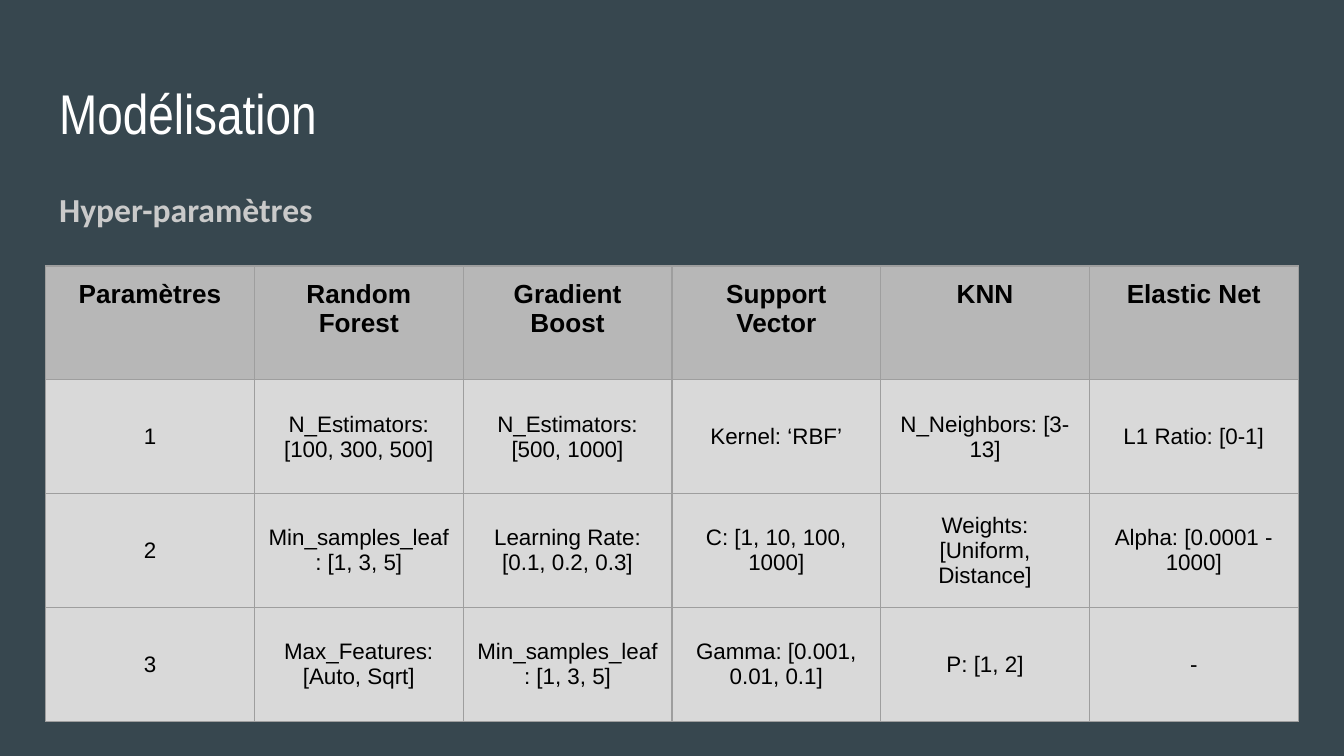
import pptx
import pptx.dml.color
import pptx.enum.text
import pptx.oxml
import pptx.oxml.ns
import pptx.util

Pt = pptx.util.Pt
ALIGN = pptx.enum.text.PP_ALIGN
ANCHOR = pptx.enum.text.MSO_ANCHOR

ROWS = [
    ["Paramètres", "Random Forest", "Gradient Boost", "Support Vector", "KNN", "Elastic Net"],
    ["1", "N_Estimators: [100, 300, 500]", "N_Estimators: [500, 1000]",
     "Kernel: ‘RBF’", "N_Neighbors: [3-13]", "L1 Ratio: [0-1]"],
    ["2", "Min_samples_leaf: [1, 3, 5]", "Learning Rate: [0.1, 0.2, 0.3]",
     "C: [1, 10, 100, 1000]", "Weights: [Uniform, Distance]", "Alpha: [0.0001 - 1000]"],
    ["3", "Max_Features: [Auto, Sqrt]", "Min_samples_leaf: [1, 3, 5]",
     "Gamma: [0.001, 0.01, 0.1]", "P: [1, 2]", "-"],
]


def paint(fill, color):
    """Fill with a solid hex colour."""
    fill.solid()
    fill.fore_color.rgb = pptx.dml.color.RGBColor.from_string(color)


def add_run(p, text, size, font, color, bold=False):
    """Add a formatted run to a paragraph."""
    r = p.add_run()
    r.text = text
    r.font.size = Pt(size)
    r.font.name = font
    r.font.bold = bold
    paint(r.font.fill, color)


def set_margins(box, margin=7.2):
    """Set equal margins on a text frame or a cell."""
    box.margin_left = box.margin_right = Pt(margin)
    box.margin_top = box.margin_bottom = Pt(margin)


def place_text(sp, box, text, size, font, color, bold=False):
    """Move a placeholder to its box, write its text and return the paragraph."""
    sp.left, sp.top, sp.width, sp.height = [Pt(v) for v in box]
    tf = sp.text_frame
    tf.word_wrap = True
    tf.auto_size = pptx.enum.text.MSO_AUTO_SIZE.NONE
    tf.vertical_anchor = ANCHOR.TOP
    set_margins(tf)
    p = tf.paragraphs[0]
    p.alignment = ALIGN.LEFT
    p.space_before = Pt(0)
    add_run(p, text, size, font, color, bold)
    return p


def add_heading(s, x, y, w):
    """Place the title and the subtitle from the top left corner."""
    place_text(s.shapes.title, (x, y, w, 45), "Modélisation", 30, "Arial Narrow", "FFFFFF")
    p = place_text(s.placeholders[1], (x, y + 55.5, w, 40),
                   "Hyper-paramètres", 18, "Calibri", "CACACA", True)
    p.line_spacing = 1.15
    p.space_after = Pt(16)
    ppr = p._p.get_or_add_pPr()
    ppr.set("marL", "0")
    ppr.set("indent", "0")
    ppr.append(pptx.oxml.parse_xml(f"<a:buNone {pptx.oxml.ns.nsdecls('a')}/>"))


def add_borders(cell, color, width):
    """Draw the four borders of a cell."""
    tcpr = cell._tc.get_or_add_tcPr()
    for side in "LRTB":
        tcpr.append(pptx.oxml.parse_xml(
            f"<a:ln{side} {pptx.oxml.ns.nsdecls('a')} w='{Pt(width)}'>"
            f"<a:solidFill><a:srgbClr val='{color}'/></a:solidFill></a:ln{side}>"))


def add_parameter_table(s, x, y, w, h):
    """Fill the box with the table of hyperparameters."""
    count, columns = len(ROWS), len(ROWS[0])
    table = s.shapes.add_table(count, columns, Pt(x), Pt(y), Pt(w), Pt(h)).table
    for column in table.columns:
        column.width = Pt(w / columns)
    for i, row in enumerate(ROWS):
        table.rows[i].height = Pt(h / count)
        header = i == 0
        for j, text in enumerate(row):
            cell = table.cell(i, j)
            set_margins(cell)
            cell.vertical_anchor = ANCHOR.TOP if header else ANCHOR.MIDDLE
            add_borders(cell, "9E9E9E", 0.75)
            paint(cell.fill, "B7B7B7" if header else "D9D9D9")
            p = cell.text_frame.paragraphs[0]
            p.alignment = ALIGN.CENTER
            add_run(p, text, 14 if header else 12, "Arial", "000000", header)


def main():
    """Build and save the slide."""
    prs = pptx.Presentation()
    prs.slide_width, prs.slide_height = Pt(720), Pt(405)
    s = prs.slides.add_slide(prs.slide_layouts[1])
    paint(s.background.fill, "37474F")
    add_heading(s, 24.5, 35, 671)
    add_parameter_table(s, 24.5, 142.5, 671, 244)
    prs.save("out.pptx")


if __name__ == "__main__":
    main()
